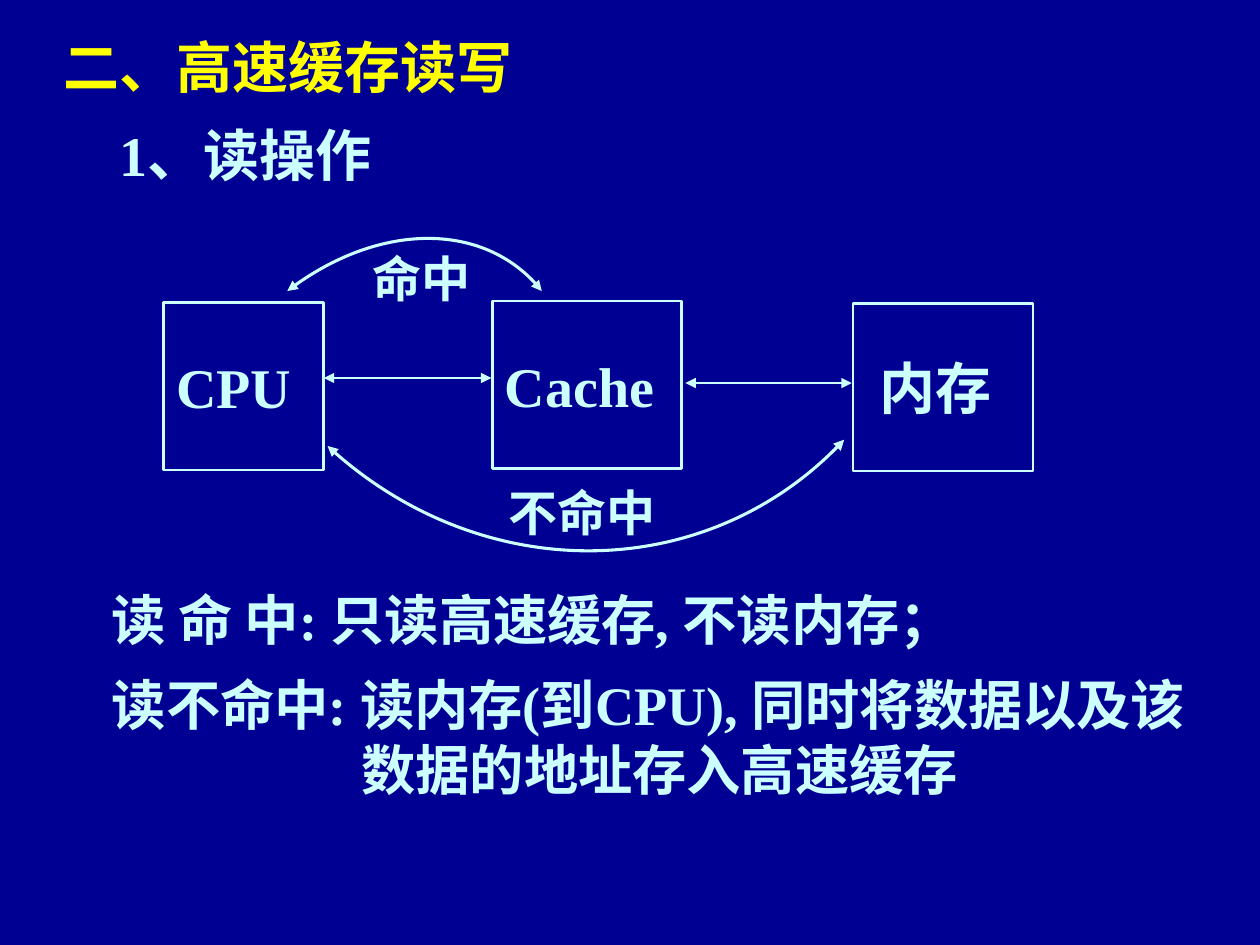
from pptx import Presentation
from pptx.dml.color import RGBColor
from pptx.enum.shapes import MSO_CONNECTOR, MSO_SHAPE
from pptx.enum.text import MSO_ANCHOR, PP_ALIGN
from pptx.oxml import parse_xml
from pptx.oxml.ns import nsdecls, qn
from pptx.util import Inches, Pt

NAVY = RGBColor(0x00, 0x00, 0x92)
YELLOW = RGBColor(0xFF, 0xFF, 0x00)
PALE = RGBColor(0xCC, 0xFF, 0xFF)
FONT = "Times New Roman"


def write(paragraph, text, size=32, color=PALE, align=PP_ALIGN.LEFT,
          before=0, margin=0, indent=0):
    paragraph.alignment = align
    paragraph.space_before = Pt(before)
    properties = paragraph._p.get_or_add_pPr()
    properties.set("marL", str(Inches(margin)))
    properties.set("indent", str(Inches(indent)))
    run = paragraph.add_run()
    run.text = text
    run.font.name = FONT
    run.font.size = Pt(size)
    run.font.bold = True
    run.font.color.rgb = color


class Diagram:
    def __init__(self, slide):
        self.slide = slide
        self.shapes = slide.shapes
        background = slide.background.fill
        background.solid()
        background.fore_color.rgb = NAVY

    def text(self, left, top, width, height):
        frame = self.shapes.add_textbox(
            Inches(left), Inches(top), Inches(width), Inches(height)).text_frame
        frame.word_wrap = True
        return frame

    def label(self, text, left, top, width, height):
        write(self.text(left, top, width, height).paragraphs[0], text, size=28)

    def unit(self, text, left, top, width, height, margin=0):
        box = self.shapes.add_shape(
            MSO_SHAPE.RECTANGLE,
            Inches(left), Inches(top), Inches(width), Inches(height))
        box.shadow.inherit = False
        box.fill.background()
        box.line.color.rgb = PALE
        box.line.width = Pt(1.5)
        box.text_frame.vertical_anchor = MSO_ANCHOR.MIDDLE
        write(box.text_frame.paragraphs[0], text, margin=margin)

    def double_headed(self, shape, width):
        shape.line.color.rgb = PALE
        shape.line.width = Pt(width)
        line = shape.line._get_or_add_ln()
        for end in ("headEnd", "tailEnd"):
            line.append(parse_xml(f'<a:{end} {nsdecls("a")} type="triangle"/>'))

    def arrow(self, start, end, y):
        link = self.shapes.add_connector(
            MSO_CONNECTOR.STRAIGHT,
            Inches(start), Inches(y), Inches(end), Inches(y))
        self.double_headed(link, 1.5)
        link._element.spPr.append(parse_xml(f'<a:effectLst {nsdecls("a")}/>'))

    def curve(self, start, *controls_and_end):
        builder = self.shapes.build_freeform(
            Inches(start[0]), Inches(start[1]))
        builder.add_line_segments(
            [(Inches(x), Inches(y)) for x, y in controls_and_end], close=False)
        arc = builder.convert_to_shape()
        segments = list(arc._element.iter(qn("a:lnTo")))
        bezier = parse_xml(f'<a:cubicBezTo {nsdecls("a")}/>')
        segments[0].addprevious(bezier)
        for segment in segments:
            bezier.append(segment[0])
            segment.getparent().remove(segment)
        arc.shadow.inherit = False
        arc.fill.background()
        self.double_headed(arc, 1.75)


def main():
    deck = Presentation()
    deck.slide_width, deck.slide_height = Inches(10), Inches(7.5)
    diagram = Diagram(deck.slides.add_slide(deck.slide_layouts[6]))

    heading = diagram.text(0.41, 0.21, 9.43, 1.34)
    write(heading.paragraphs[0], "二、高速缓存读写",
          color=YELLOW, align=PP_ALIGN.JUSTIFY)
    write(heading.add_paragraph(), "1、读操作",
          align=PP_ALIGN.JUSTIFY, before=12, margin=0.44)

    diagram.unit("CPU", 1.3, 2.4, 1.27, 1.33)
    diagram.unit("Cache", 3.91, 2.39, 1.5, 1.33)
    diagram.unit("内存", 6.77, 2.41, 1.43, 1.33, margin=0.11)
    diagram.arrow(2.57, 3.9, 3)
    diagram.arrow(5.44, 6.76, 3.04)

    diagram.curve((4.3, 2.31), (3.88, 1.77), (2.98, 1.77), (2.28, 2.31))
    diagram.label("命中", 2.86, 1.92, 1.16, 0.57)
    diagram.curve((2.6, 3.54), (3.8, 4.65), (5.64, 4.63), (6.7, 3.49))
    diagram.label("不命中", 3.94, 3.78, 1.71, 0.57)

    summary = diagram.text(0.79, 4.6, 8.94, 1.81)
    hanging = dict(size=31, margin=1.98, indent=-1.98)
    write(summary.paragraphs[0], "读 命 中: 只读高速缓存, 不读内存；", **hanging)
    write(summary.add_paragraph(),
          "读不命中: 读内存(到CPU), 同时将数据以及该数据的地址存入高速缓存",
          before=11.6, **hanging)

    deck.save("out.pptx")


if __name__ == "__main__":
    main()
